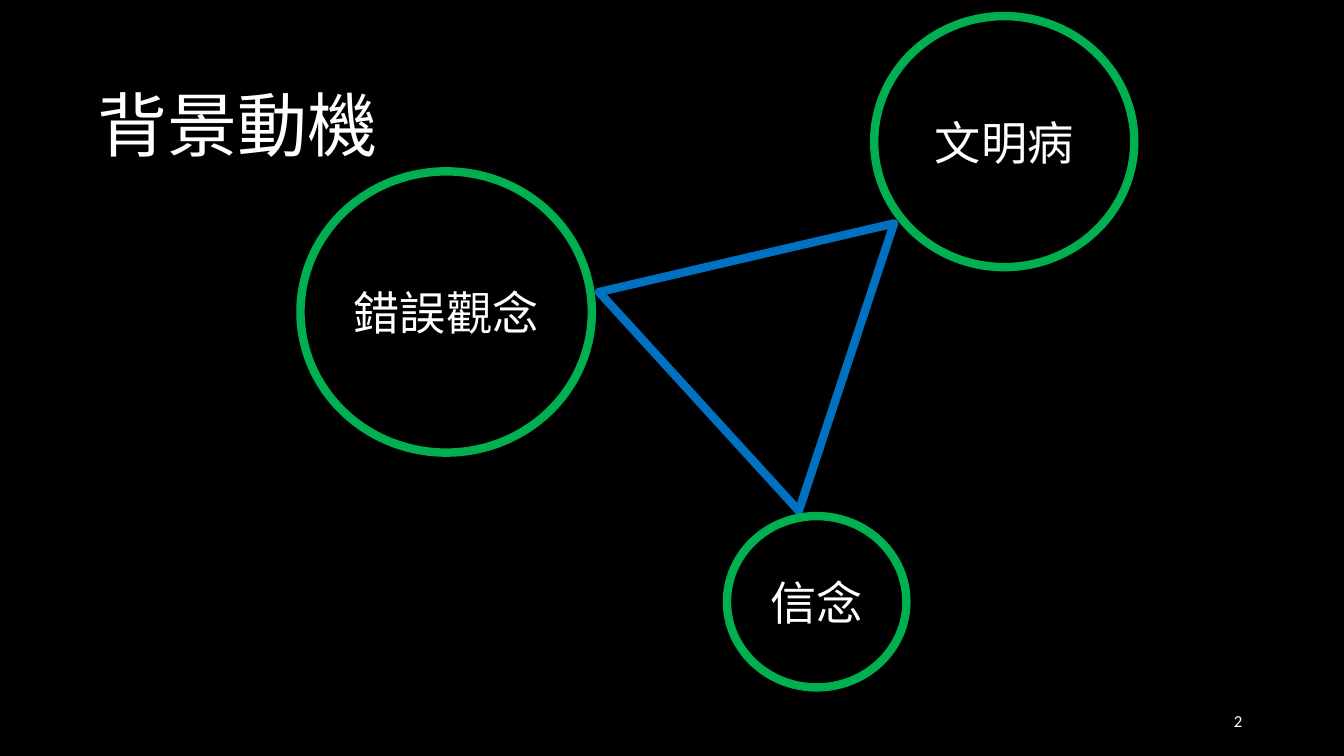
"""Build the background and motivation slide with three linked ideas."""
from pptx import Presentation
from pptx.dml.color import RGBColor
from pptx.enum.shapes import MSO_SHAPE
from pptx.enum.text import MSO_ANCHOR, MSO_AUTO_SIZE, PP_ALIGN
from pptx.oxml.ns import qn
from pptx.util import Inches, Pt

BLACK = RGBColor(0x00, 0x00, 0x00)
WHITE = RGBColor(0xFF, 0xFF, 0xFF)
BLUE = RGBColor(0x00, 0x70, 0xC0)
GREEN = RGBColor(0x00, 0xB0, 0x50)
CJK_FONT = "Noto Sans CJK SC"

HEADING = ("背景動機", (0.87, 0.78, 3.2, 1))
PAGE_NUMBER = ("2", (9.42, 6.95, 3, 0.4))
TRIANGLE = (6.43, 1.79, 2.94, 2.62)
TRIANGLE_ANGLE = 47.6
IDEAS = [
    ("文明病", (8.67, 0.16, 2.58, 2.49)),
    ("錯誤觀念", (2.98, 1.7, 2.89, 2.79)),
    ("信念", (7.21, 5.12, 1.78, 1.7)),
]


def inches(box):
    """Convert a box to lengths."""
    return [Inches(value) for value in box]


def write(holder, text, size, align, font=CJK_FONT):
    """Write one white, vertically centred line."""
    frame = holder.text_frame
    frame.word_wrap = True
    frame.auto_size = MSO_AUTO_SIZE.NONE
    frame.vertical_anchor = MSO_ANCHOR.MIDDLE
    line = frame.paragraphs[0]
    line.alignment = align
    run = line.add_run()
    run.text = text
    run.font.size = Pt(size)
    run.font.name = font
    run.font.color.rgb = WHITE
    east_asian = run.font._element.makeelement(qn("a:ea"), {"typeface": font})
    run.font._element.find(qn("a:latin")).addnext(east_asian)
    return line


def add_outline(preset, box, color):
    """Add an unfilled shape with a thick outline."""
    outline = slide.shapes.add_shape(preset, *inches(box))
    outline.shadow.inherit = False
    outline.fill.background()
    outline.line.color.rgb = color
    outline.line.width = Pt(6)
    return outline


deck = Presentation()
deck.slide_width, deck.slide_height = Inches(13.33), Inches(7.5)
slide = deck.slides.add_slide(deck.slide_layouts[5])
slide.background.fill.solid()
slide.background.fill.fore_color.rgb = BLACK

heading_text, heading_box = HEADING
heading = slide.shapes.title
heading.left, heading.top, heading.width, heading.height = inches(heading_box)
write(heading, heading_text, 50, PP_ALIGN.LEFT).line_spacing = 0.9

number_text, number_box = PAGE_NUMBER
page_number = slide.shapes.add_textbox(*inches(number_box))
write(page_number, number_text, 12, PP_ALIGN.RIGHT, "Calibri")

triangle = add_outline(MSO_SHAPE.ISOSCELES_TRIANGLE, TRIANGLE, BLUE)
triangle.rotation = TRIANGLE_ANGLE

for idea, box in IDEAS:
    write(add_outline(MSO_SHAPE.OVAL, box, GREEN), idea, 33, PP_ALIGN.CENTER)

deck.save("out.pptx")
